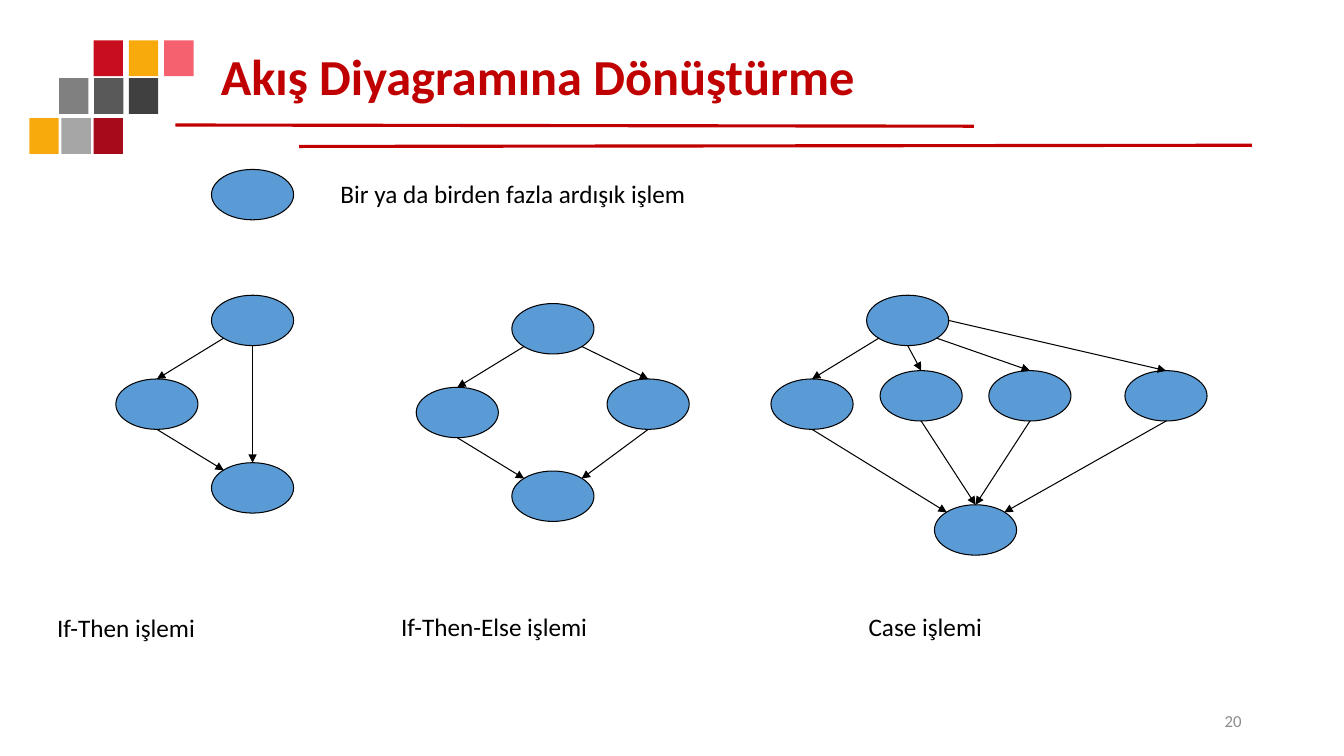
from lxml import etree
from pptx import Presentation
from pptx.dml.color import RGBColor
from pptx.enum import shapes, text
from pptx.oxml import ns
from pptx.util import Cm, Pt

RED = RGBColor(0xC0, 0x00, 0x00)
BLACK = RGBColor(0x00, 0x00, 0x00)
BLUE = RGBColor(0x5B, 0x9B, 0xD5)
GRAY = RGBColor(0x8C, 0x8C, 0x8C)
CRIMSON = RGBColor(0xC8, 0x0D, 0x1F)
DARK_RED = RGBColor(0xA5, 0x0B, 0x1A)
PINK = RGBColor(0xF5, 0x61, 0x6F)
AMBER = RGBColor(0xF8, 0xA9, 0x0C)
GRAY_25, GRAY_35, GRAY_50, GRAY_65 = (RGBColor(v, v, v) for v in (0x40, 0x59, 0x80, 0xA6))

FONT = "Calibri"
NODE_WIDTH, NODE_HEIGHT = 2.07, 1.27
SITES = {
    "top": (0.5, 0), "bottom": (0.5, 1), "right": (1, 0.5),
    "top left": (0.15, 0.15), "top right": (0.85, 0.15),
    "bottom left": (0.15, 0.85), "bottom right": (0.85, 0.85),
}

IF_THEN_NODES = {"start": (2.41, 0), "then": (0, 2.11), "end": (2.41, 4.22)}
IF_THEN_EDGES = [
    ("start", "bottom left", "then", "top"),
    ("then", "bottom", "end", "top left"),
    ("start", "bottom", "end", "top"),
]
IF_ELSE_NODES = IF_THEN_NODES | {"else": (4.81, 1.9)}
IF_ELSE_EDGES = IF_THEN_EDGES[:2] + [
    ("start", "bottom right", "else", "top"),
    ("else", "bottom", "end", "top right"),
]
CASE_NODES = {
    "start": (2.41, 0), "case 1": (0, 2.11), "case 2": (2.75, 1.9),
    "case 3": (5.49, 1.9), "case 4": (8.92, 1.9), "end": (4.12, 5.28),
}
CASE_EDGES = [
    ("start", "bottom left", "case 1", "top"),
    ("start", "bottom", "case 2", "top"),
    ("start", "bottom right", "case 3", "top"),
    ("start", "right", "case 4", "top"),
    ("case 1", "bottom", "end", "top left"),
    ("case 2", "bottom", "end", "top"),
    ("case 3", "bottom", "end", "top"),
    ("case 4", "bottom", "end", "top right"),
]


def add_line(slide, begin, end, color, width):
    """Draw a straight line without shadow between two points in centimetres."""
    line = slide.shapes.add_connector(
        shapes.MSO_CONNECTOR.STRAIGHT, *(Cm(v) for v in (*begin, *end)))
    line.line.color.rgb = color
    line.line.width = Pt(width)
    etree.SubElement(line._element.spPr, ns.qn("a:effectLst"))
    return line


def add_filled(slide, kind, left, top, width, height, color):
    """Draw a flat preset shape without outline or shadow."""
    shape = slide.shapes.add_shape(kind, Cm(left), Cm(top), Cm(width), Cm(height))
    shape.shadow.inherit = False
    shape.fill.solid()
    shape.fill.fore_color.rgb = color
    shape.line.fill.background()
    return shape


def add_node(slide, left, top):
    """Draw one operation ellipse."""
    node = add_filled(slide, shapes.MSO_SHAPE.OVAL, left, top, NODE_WIDTH, NODE_HEIGHT, BLUE)
    node.line.color.rgb = BLACK
    node.line.width = Pt(0.75)
    return node


def add_label(slide, left, top, width, height, wording, size=18, color=BLACK,
              align=text.PP_ALIGN.LEFT):
    """Write one line of text in a box."""
    box = slide.shapes.add_textbox(Cm(left), Cm(top), Cm(width), Cm(height))
    frame = box.text_frame
    frame.word_wrap = True
    frame.vertical_anchor = text.MSO_ANCHOR.MIDDLE
    paragraph = frame.paragraphs[0]
    paragraph.text = wording
    paragraph.alignment = align
    paragraph.font.name = FONT
    paragraph.font.size = Pt(size)
    paragraph.font.color.rgb = color


def add_decoration(slide, left, top):
    """Draw the coloured tiles and the two header rules."""
    rows = [
        (1.62, 0, 0.89, (CRIMSON, AMBER, PINK)),
        (0.75, 0.95, 0.88, (GRAY_50, GRAY_35, GRAY_25)),
        (0, 1.96, 0.81, (AMBER, GRAY_65, DARK_RED)),
    ]
    for row_left, row_top, pitch, colors in rows:
        for column, color in enumerate(colors):
            add_filled(slide, shapes.MSO_SHAPE.RECTANGLE, left + row_left + column * pitch,
                       top + row_top, 0.74, 0.9, color)
    for begin, end in (((3.68, 2.13), (23.8, 2.16)), ((6.8, 2.67), (30.81, 2.64))):
        add_line(slide, (left + begin[0], top + begin[1]),
                 (left + end[0], top + end[1]), RED, 2.25)


def add_title(slide, left, top, width, height, wording):
    """Place and format the title placeholder."""
    title = slide.shapes.title
    title.left, title.top, title.width, title.height = map(Cm, (left, top, width, height))
    title.text_frame.vertical_anchor = text.MSO_ANCHOR.MIDDLE
    paragraph = title.text_frame.paragraphs[0]
    paragraph.text = wording
    paragraph.alignment = text.PP_ALIGN.LEFT
    paragraph.line_spacing = 0.9
    paragraph.font.name = FONT
    paragraph.font.size = Pt(36)
    paragraph.font.bold = True
    paragraph.font.color.rgb = RED


def add_legend(slide, left, top):
    """Draw the sample ellipse and its meaning."""
    add_node(slide, left, top)
    add_label(slide, left + 3, top + 0.08, 17.55, 1.07, "Bir ya da birden fazla ardışık işlem")


def add_flow(slide, left, top, nodes, edges):
    """Draw a flow graph whose node offsets start at the given corner."""
    def site_point(name, site):
        """Return the point of a node's site."""
        x, y = nodes[name]
        across, down = SITES[site]
        return left + x + across * NODE_WIDTH, top + y + down * NODE_HEIGHT

    ellipses = {name: add_node(slide, left + x, top + y) for name, (x, y) in nodes.items()}
    for source, source_site, target, target_site in edges:
        arrow = add_line(slide, site_point(source, source_site),
                         site_point(target, target_site), BLACK, 0.75)
        etree.SubElement(arrow.line._get_or_add_ln(), ns.qn("a:tailEnd"), type="triangle")
        if target_site == "top":
            arrow.end_connect(ellipses[target], 0)


def main():
    """Build and save the slide."""
    presentation = Presentation()
    presentation.slide_width, presentation.slide_height = Cm(33.87), Cm(19.05)
    slide = presentation.slides.add_slide(presentation.slide_layouts[5])
    add_decoration(slide, 0.74, 1.02)
    add_title(slide, 5.31, 1.02, 26.21, 1.96, "Akış Diyagramına Dönüştürme")
    add_legend(slide, 5.33, 4.27)
    add_flow(slide, 2.92, 7.44, IF_THEN_NODES, IF_THEN_EDGES)
    add_flow(slide, 10.49, 7.65, IF_ELSE_NODES, IF_ELSE_EDGES)
    add_flow(slide, 19.43, 7.44, CASE_NODES, CASE_EDGES)
    add_label(slide, 1.19, 15.28, 7.42, 1.07, "If-Then işlemi")
    add_label(slide, 9.86, 15.25, 9.91, 1.07, "If-Then-Else işlemi")
    add_label(slide, 21.64, 15.25, 6.5, 1.07, "Case işlemi")
    add_label(slide, 23.92, 17.66, 7.62, 1.01, "20", 12, GRAY, text.PP_ALIGN.RIGHT)
    presentation.save("out.pptx")


if __name__ == "__main__":
    main()
